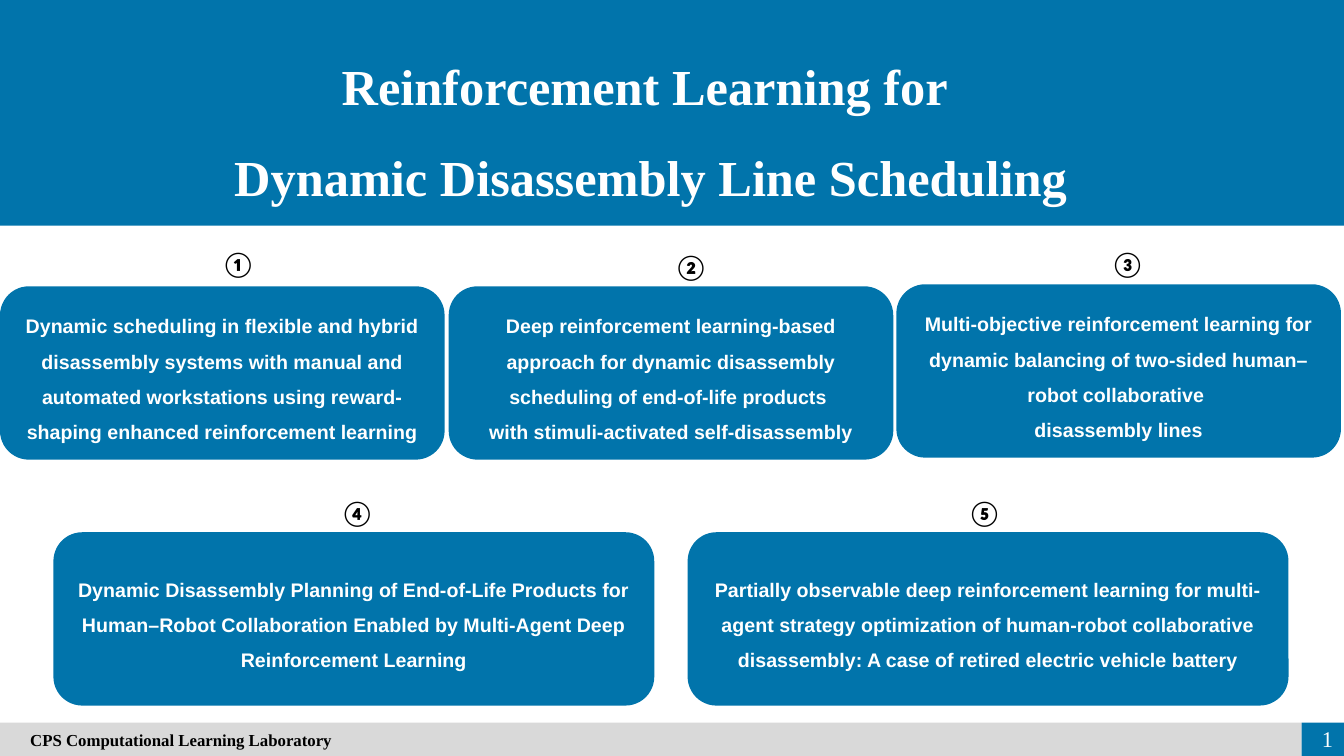
import pptx
import pptx.util
import pptx.dml.color
import pptx.enum.shapes
import pptx.enum.text

Inches = pptx.util.Inches
SHAPES = pptx.enum.shapes.MSO_SHAPE
ALIGN = pptx.enum.text.PP_ALIGN
ANCHOR = pptx.enum.text.MSO_ANCHOR

BLUE, GRAY, WHITE, BLACK = "0174AB", "D9D9D9", "FFFFFF", "000000"
SLIDE_WIDTH, SLIDE_HEIGHT = 13.33, 7.5
CARD_HEIGHT = 1.72

# Number, number position (left, top), card box (left, top, width), paragraphs
TOPICS = [
    ("①", (2.1, 2.41), (0, 2.84, 4.41),
     ["Dynamic scheduling in flexible and hybrid disassembly systems with manual "
      "and automated workstations using reward-shaping enhanced reinforcement learning"]),
    ("②", (6.59, 2.44), (4.45, 2.84, 4.41),
     ["Deep reinforcement learning-based approach for dynamic disassembly "
      "scheduling of end-of-life products ",
      "with stimuli-activated self-disassembly"]),
    ("③", (10.92, 2.41), (8.89, 2.82, 4.41),
     ["Multi-objective reinforcement learning for dynamic balancing of "
      "two-sided human–robot collaborative ",
      "disassembly lines"]),
    ("④", (3.28, 4.88), (0.53, 5.28, 5.96),
     ["Dynamic Disassembly Planning of End-of-Life Products for Human–Robot "
      "Collaboration Enabled by Multi-Agent Deep Reinforcement Learning"]),
    ("⑤", (9.5, 4.88), (6.82, 5.28, 5.96),
     ["Partially observable deep reinforcement learning for multi-agent strategy "
      "optimization of human-robot collaborative disassembly: A case of retired "
      "electric vehicle battery"]),
]


def color(value):
    return pptx.dml.color.RGBColor.from_string(value)


def add_panel(slide, kind, left, top, width, height, fill):
    shape = slide.shapes.add_shape(
        kind, Inches(left), Inches(top), Inches(width), Inches(height))
    shape.shadow.inherit = False
    shape.fill.solid()
    shape.fill.fore_color.rgb = color(fill)
    shape.line.fill.background()
    return shape


def add_label(slide, left, top, width, height):
    return slide.shapes.add_textbox(
        Inches(left), Inches(top), Inches(width), Inches(height))


def write(shape, lines, font, size, text_color, bold=True, align=ALIGN.LEFT,
          anchor=ANCHOR.MIDDLE, spacing=None, wrap=True):
    frame = shape.text_frame
    frame.word_wrap = wrap
    frame.vertical_anchor = anchor
    for index, line in enumerate(lines):
        paragraph = frame.add_paragraph() if index else frame.paragraphs[0]
        paragraph.alignment = align
        paragraph.line_spacing = spacing
        run = paragraph.add_run()
        run.text = line
        run.font.name = font
        run.font.size = pptx.util.Pt(size)
        run.font.bold = bold
        run.font.color.rgb = color(text_color)


def add_title_band(slide, left, top, width, height):
    add_panel(slide, SHAPES.RECTANGLE, left, top, width, height, BLUE)
    title = add_label(slide, left + 0.34, top + 0.2, 12.23, 1.92)
    write(title, ["Reinforcement Learning for ", "Dynamic Disassembly Line Scheduling"],
          "Times New Roman", 36, WHITE, align=ALIGN.CENTER, anchor=ANCHOR.TOP, spacing=1.5)


def add_topic(slide, number, number_position, card_box, lines):
    card = add_panel(slide, SHAPES.ROUNDED_RECTANGLE, *card_box, CARD_HEIGHT, BLUE)
    write(card, lines, "Arial", 14, WHITE, align=ALIGN.CENTER, spacing=1.5)
    label = add_label(slide, *number_position, 0.45, 0.4)
    write(label, [number], "Calibri", 18, BLACK, anchor=ANCHOR.TOP, wrap=False)


def add_footer(slide, left, top, width, height):
    page_width = 0.42
    bar_width = width - page_width
    bar = add_panel(slide, SHAPES.RECTANGLE, left, top, bar_width, height, GRAY)
    bar.text_frame.margin_left = Inches(0.3)
    write(bar, ["CPS Computational Learning Laboratory"], "Times New Roman", 12, BLACK)
    # Page number
    add_panel(slide, SHAPES.RECTANGLE, left + bar_width, top, page_width, height, BLUE)
    page = add_label(slide, left + width - 0.64, top - 0.04, 0.63, 0.4)
    write(page, ["1"], "Times New Roman", 16, WHITE, bold=False, align=ALIGN.RIGHT)


def main():
    presentation = pptx.Presentation()
    presentation.slide_width = Inches(SLIDE_WIDTH)
    presentation.slide_height = Inches(SLIDE_HEIGHT)
    slide = presentation.slides.add_slide(presentation.slide_layouts[6])
    add_title_band(slide, 0, 0, SLIDE_WIDTH, 2.24)
    for topic in TOPICS:
        add_topic(slide, *topic)
    add_footer(slide, 0, 7.17, SLIDE_WIDTH, 0.33)
    presentation.save("out.pptx")


if __name__ == "__main__":
    main()
